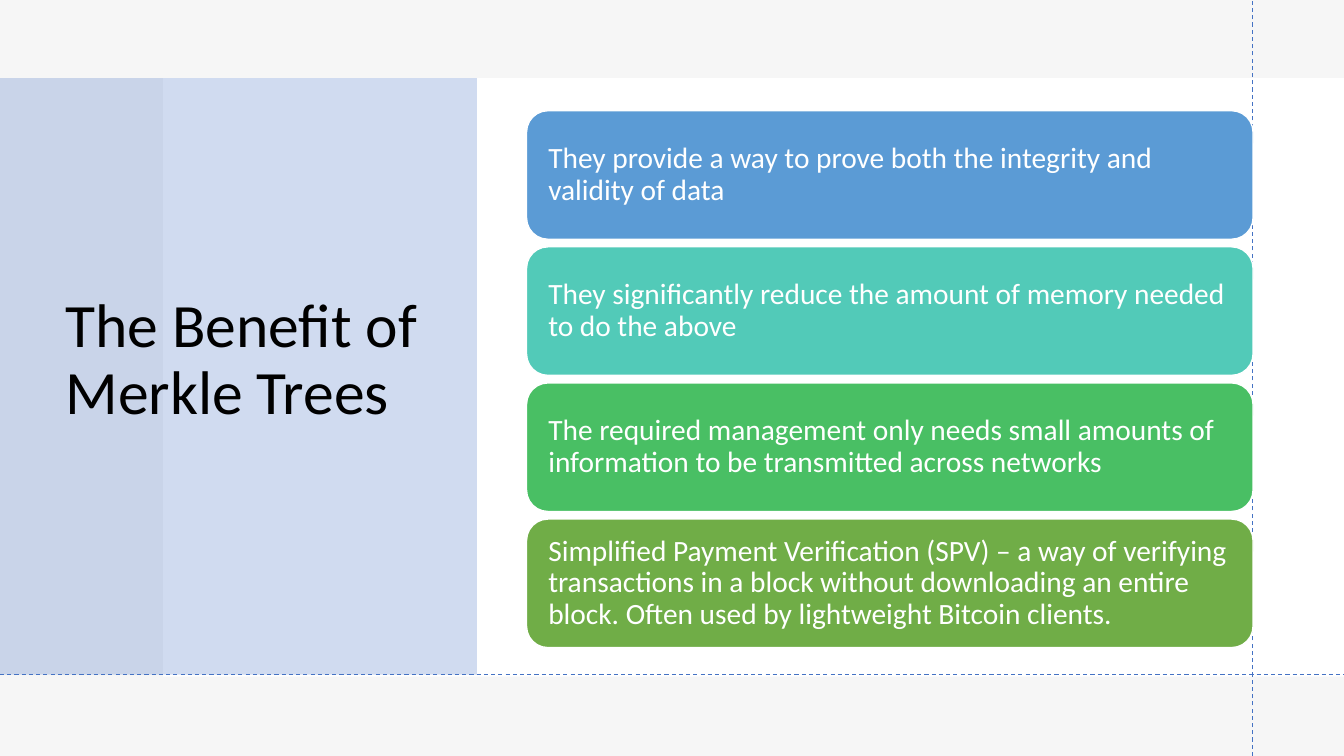
from dataclasses import dataclass

from lxml import etree
from pptx import Presentation
from pptx.dml.color import RGBColor
from pptx.enum.dml import MSO_LINE
from pptx.enum.shapes import MSO_CONNECTOR, MSO_SHAPE
from pptx.enum.text import MSO_ANCHOR, PP_ALIGN
from pptx.oxml.ns import qn
from pptx.shapes.autoshape import Shape
from pptx.slide import Slide
from pptx.util import Cm, Pt

RECTANGLE = MSO_SHAPE.RECTANGLE
ROUNDED = MSO_SHAPE.ROUNDED_RECTANGLE
STRAIGHT = MSO_CONNECTOR.STRAIGHT
DASH = MSO_LINE.DASH
MIDDLE = MSO_ANCHOR.MIDDLE
LEFT = PP_ALIGN.LEFT


@dataclass(frozen=True)
class Theme:
    font: str = "Calibri"
    white: str = "FFFFFF"
    black: str = "000000"
    grey: str = "E7E6E6"
    blue: str = "4472C4"
    sky: str = "5B9BD5"
    teal: str = "52CAB8"
    green: str = "49BF64"
    olive: str = "70AD47"
    title_size: float = 44
    card_size: float = 21
    line_spacing: float = 0.9


@dataclass(frozen=True)
class Box:
    """A rectangle in centimetres."""
    left: float
    top: float
    width: float
    height: float


@dataclass(frozen=True)
class Panel:
    box: Box
    color: str
    opacity: int = 100


@dataclass(frozen=True)
class Guide:
    """A dashed line between two points, in centimetres."""
    start: tuple[float, float]
    end: tuple[float, float]


@dataclass(frozen=True)
class Card:
    text: str
    color: str


THEME = Theme()
PAGE = Box(0, 0, 33.87, 19.05)
PANELS = [
    Panel(PAGE, THEME.white),
    Panel(PAGE, THEME.grey, opacity=35),
    Panel(Box(4.11, 1.97, 29.76, 15.08), THEME.white),
    Panel(Box(0, 1.97, 12.02, 15.03), THEME.blue, opacity=25),
]
GUIDES = [
    Guide((31.57, PAGE.height), (31.57, 0)),
    Guide((0, 16.99), (PAGE.width, 16.99)),
]
TITLE = "The Benefit of Merkle Trees"
TITLE_BOX = Box(1.4, 1.88, 10.03, 14.45)
CARDS = [
    Card("They provide a way to prove both the integrity and validity of data", THEME.sky),
    Card("They significantly reduce the amount of memory needed to do the above", THEME.teal),
    Card("The required management only needs small amounts of information "
         "to be transmitted across networks", THEME.green),
    Card("Simplified Payment Verification (SPV) – a way of verifying transactions in a block "
         "without downloading an entire block. Often used by lightweight Bitcoin clients.",
         THEME.olive),
]
FIRST_CARD = Box(13.27, 2.79, 18.31, 3.24)
CARD_PITCH = 3.43


def add_block(slide: Slide, kind: MSO_SHAPE, box: Box, color: str, opacity: int = 100) -> Shape:
    shape = slide.shapes.add_shape(
        kind, Cm(box.left), Cm(box.top), Cm(box.width), Cm(box.height))
    shape.shadow.inherit = False
    shape.fill.solid()
    shape.fill.fore_color.rgb = RGBColor.from_string(color)
    shape.line.fill.background()
    if opacity < 100:
        color_element = shape._element.spPr.find(qn("a:solidFill"))[0]
        etree.SubElement(color_element, qn("a:alpha"), val=str(opacity * 1000))
    return shape


def write_text(shape: Shape, text: str, *, size: float, color: str,
               side_inset: float = 0.25, edge_inset: float = 0.13) -> None:
    frame = shape.text_frame
    frame.word_wrap = True
    frame.vertical_anchor = MIDDLE
    frame.margin_left = frame.margin_right = Cm(side_inset)
    frame.margin_top = frame.margin_bottom = Cm(edge_inset)
    paragraph = frame.paragraphs[0]
    paragraph.alignment = LEFT
    paragraph.line_spacing = THEME.line_spacing
    run = paragraph.add_run()
    run.text = text
    run.font.name = THEME.font
    run.font.size = Pt(size)
    run.font.color.rgb = RGBColor.from_string(color)


def add_title(slide: Slide) -> None:
    box = TITLE_BOX
    title = slide.shapes.add_textbox(
        Cm(box.left), Cm(box.top), Cm(box.width), Cm(box.height))
    write_text(title, TITLE, size=THEME.title_size, color=THEME.black)


def add_guide(slide: Slide, guide: Guide) -> None:
    connector = slide.shapes.add_connector(
        STRAIGHT, *(Cm(value) for value in guide.start + guide.end))
    connector.line.color.rgb = RGBColor.from_string(THEME.blue)
    connector.line.width = Pt(0.75)
    connector.line.dash_style = DASH
    etree.SubElement(connector._element.spPr, qn("a:effectLst"))


def add_card(slide: Slide, card: Card, index: int) -> None:
    first = FIRST_CARD
    box = Box(first.left, first.top + index * CARD_PITCH, first.width, first.height)
    shape = add_block(slide, ROUNDED, box, card.color)
    shape.line.color.rgb = RGBColor.from_string(THEME.white)
    shape.line.width = Pt(1)
    write_text(shape, card.text, size=THEME.card_size, color=THEME.white,
               side_inset=0.39, edge_inset=0.3)


def main() -> None:
    presentation = Presentation()
    presentation.slide_width = Cm(PAGE.width)
    presentation.slide_height = Cm(PAGE.height)
    slide = presentation.slides.add_slide(presentation.slide_layouts[6])
    for panel in PANELS:
        add_block(slide, RECTANGLE, panel.box, panel.color, panel.opacity)
    add_title(slide)
    for guide in GUIDES:
        add_guide(slide, guide)
    for index, card in enumerate(CARDS):
        add_card(slide, card, index)
    presentation.save("out.pptx")


if __name__ == "__main__":
    main()
